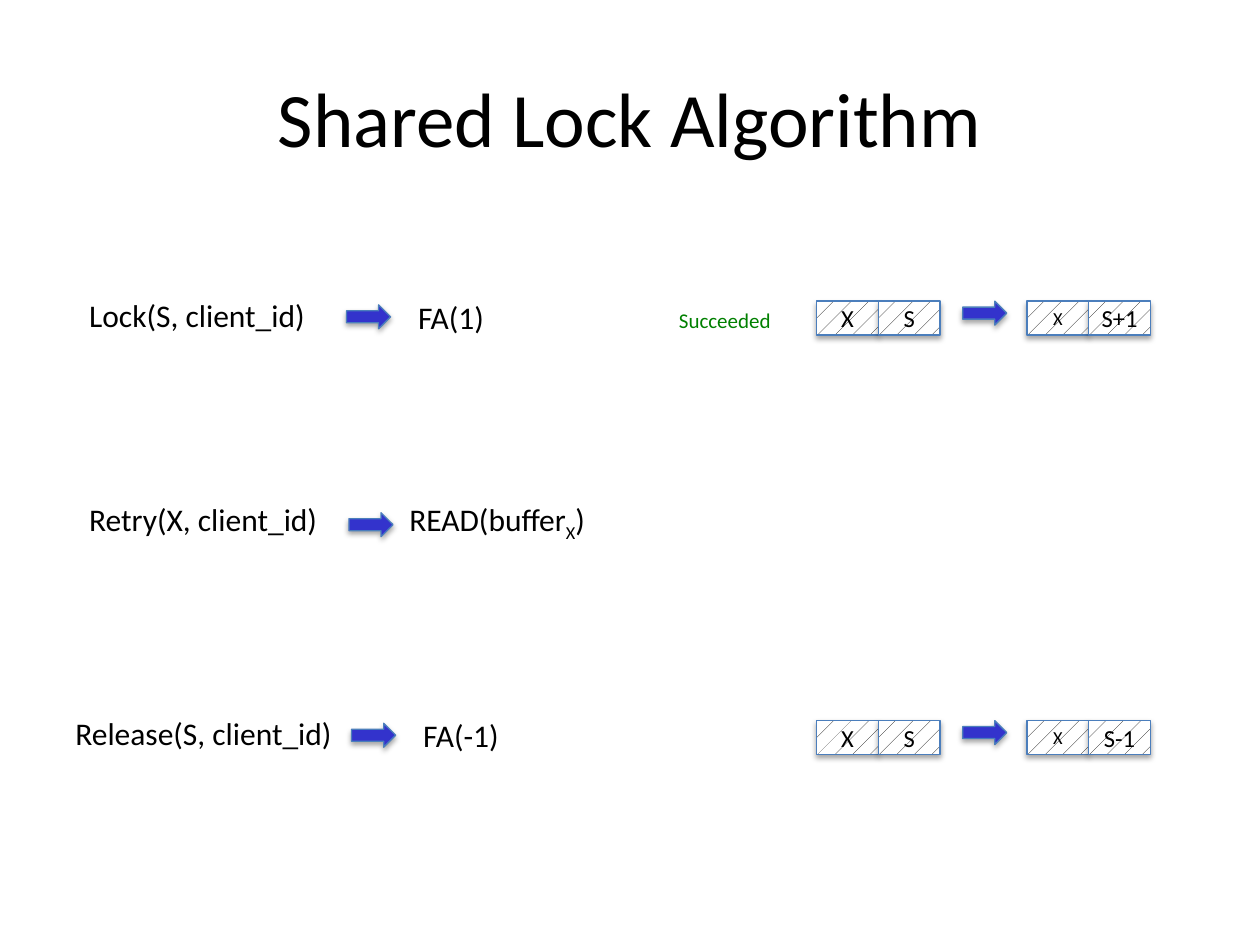
from lxml.etree import SubElement
from pptx import Presentation
from pptx.dml.color import RGBColor
from pptx.enum.dml import MSO_PATTERN as Pattern
from pptx.enum.shapes import MSO_SHAPE as Shape
from pptx.enum.text import MSO_ANCHOR as Anchor, PP_ALIGN as Align
from pptx.oxml.ns import qn
from pptx.util import Pt

COLORS = {
    "text": "000000",
    "paper": "FFFFFF",
    "arrow": "3333CC",
    "outline": "4B7EBC",
    "success": "008000",
}
CELL_WIDTH, CELL_HEIGHT = 35.3, 19.4
ARROW_WIDTH, ARROW_HEIGHT = 25.2, 13.7


def color(name):
    return RGBColor.from_string(COLORS[name])


class LockSlide:
    font = "Calibri"

    def __init__(self, page):
        self.page = page

    def format_run(self, span, size, ink="text"):
        span.font.name = self.font
        span.font.size = Pt(size)
        span.font.color.rgb = color(ink)

    def label(self, left, top, width, height, parts, size=18, ink="text"):
        """Place one line of text; every second part is a subscript."""
        box = self.page.shapes.add_textbox(Pt(left), Pt(top), Pt(width), Pt(height))
        box.text_frame.word_wrap = False
        para = box.text_frame.paragraphs[0]
        for index, part in enumerate(parts):
            span = para.add_run()
            span.text = part
            self.format_run(span, size, ink)
            if index % 2:
                span.font._element.set("baseline", "-25000")
        return box

    def title(self, text):
        box = self.label(36, 21.6, 648, 90, [text], size=44)
        box.text_frame.word_wrap = True
        box.text_frame.vertical_anchor = Anchor.MIDDLE
        box.text_frame.paragraphs[0].alignment = Align.CENTER

    def outline(self, shape):
        """Give a shape the thin blue line and the soft shadow below it."""
        shape.line.color.rgb = color("outline")
        shape.line.width = Pt(0.75)
        shape.shadow.inherit = False
        effects = shape._element.spPr.find(qn("a:effectLst"))
        shadow = SubElement(effects, qn("a:outerShdw"), blurRad=str(Pt(3.1)),
                            dist=str(Pt(1.8)), dir="5400000", rotWithShape="0")
        shade = SubElement(shadow, qn("a:srgbClr"), val=COLORS["text"])
        SubElement(shade, qn("a:alpha"), val="35000")

    def arrow(self, left, top):
        shape = self.page.shapes.add_shape(
            Shape.RIGHT_ARROW, Pt(left), Pt(top), Pt(ARROW_WIDTH), Pt(ARROW_HEIGHT))
        shape.fill.solid()
        shape.fill.fore_color.rgb = color("arrow")
        self.outline(shape)

    def lock_word(self, left, top, cells):
        """Group adjoining hatched cells, each given as (text, size)."""
        group = self.page.shapes.add_group_shape()
        for index, (text, size) in enumerate(cells):
            cell = group.shapes.add_shape(
                Shape.RECTANGLE, Pt(left + index * CELL_WIDTH), Pt(top),
                Pt(CELL_WIDTH), Pt(CELL_HEIGHT))
            cell.fill.patterned()
            cell.fill.pattern = Pattern.PERCENT_5
            cell.fill.fore_color.rgb = color("text")
            cell.fill.back_color.rgb = color("paper")
            self.outline(cell)
            frame = cell.text_frame
            frame.margin_left = frame.margin_right = 0
            frame.vertical_anchor = Anchor.MIDDLE
            frame.text = text
            para = frame.paragraphs[0]
            para.alignment = Align.CENTER
            self.format_run(para.runs[0], size)

    def transition(self, top, result):
        """Show the lock word before and after an operation."""
        self.lock_word(466.6, top, [("X", 14), ("S", 14)])
        self.arrow(550.1, top)
        self.lock_word(586.8, top, [("X", 10.5), (result, 14)])


def main():
    deck = Presentation()
    deck.slide_width, deck.slide_height = Pt(720), Pt(540)
    slide = LockSlide(deck.slides.add_slide(deck.slide_layouts[6]))

    slide.title("Shared Lock Algorithm")

    # Operations: (left, top, width, parts) of call and action, arrow place
    operations = [
        ((43.9, 165.6, 139, ["Lock(S, client_id)"]), (198, 174.2),
         (231.8, 166.5, 54, ["FA(1)"])),
        ((43.9, 282.2, 147, ["Retry(X, client_id)"]), (199.4, 293),
         (226.8, 282.2, 117.4, ["READ(buffer", "X", ")"])),
        ((36, 404.6, 162.7, ["Release(S, client_id)"]), (200.9, 413.3),
         (234.7, 405.4, 59, ["FA(-1)"])),
    ]
    for call, arrow_place, action in operations:
        for left, top, width, parts in (call, action):
            slide.label(left, top, width, 28.8, parts)
        slide.arrow(*arrow_place)

    # Outcome of the lock and release operations
    slide.label(380.9, 172.1, 67.7, 21.6, ["Succeeded"], size=12, ink="success")
    slide.transition(172.1, "S+1")
    slide.transition(411.8, "S-1")

    deck.save("out.pptx")


if __name__ == "__main__":
    main()
